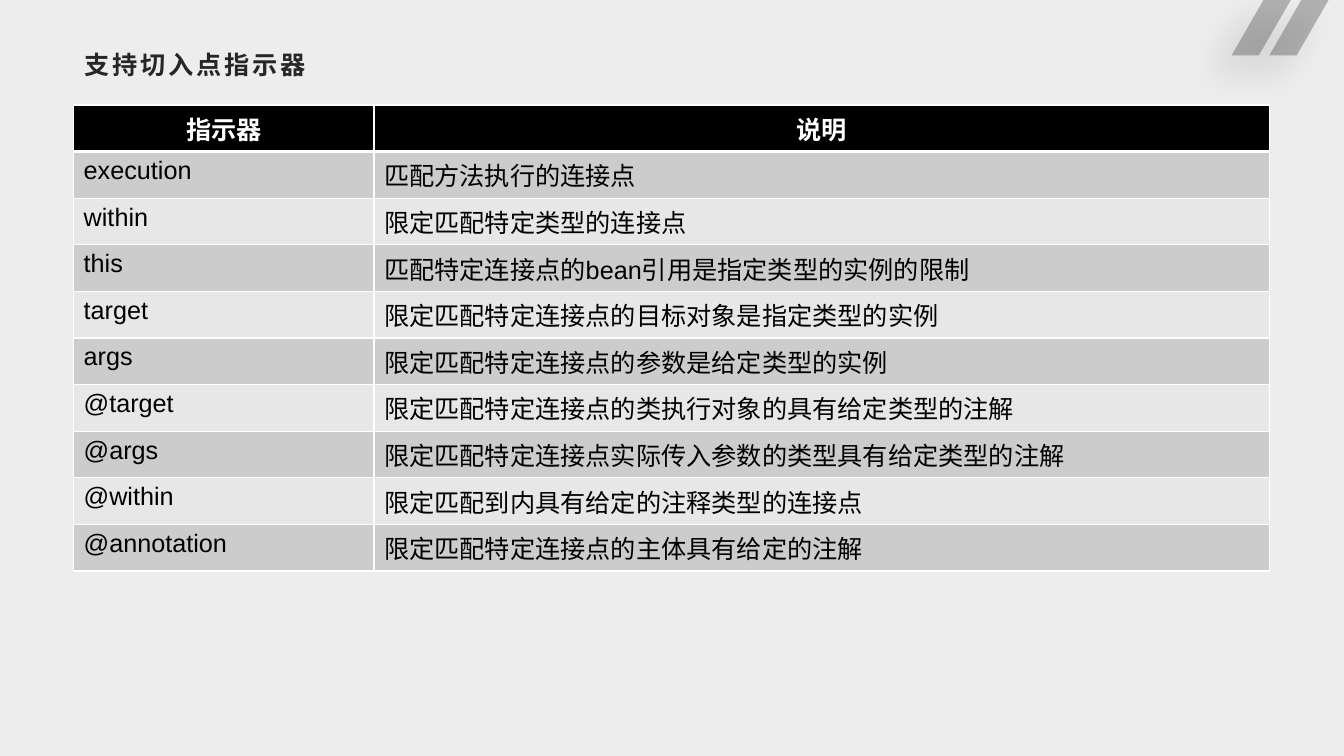
from lxml import etree
from pptx import Presentation
from pptx.dml.color import RGBColor
from pptx.enum import text
from pptx.oxml import ns
from pptx.util import Pt

COLORS = {
    "background": "EDEDED",
    "ink": "262626",
    "black": "000000",
    "white": "FFFFFF",
    "odd": "CCCCCC",
    "even": "E7E7E7",
}
CJK = "Noto Sans CJK SC"
ROWS = [
    ("指示器", "说明"),
    ("execution", "匹配方法执行的连接点"),
    ("within", "限定匹配特定类型的连接点"),
    ("this", "匹配特定连接点的bean引用是指定类型的实例的限制"),
    ("target", "限定匹配特定连接点的目标对象是指定类型的实例"),
    ("args", "限定匹配特定连接点的参数是给定类型的实例"),
    ("@target", "限定匹配特定连接点的类执行对象的具有给定类型的注解"),
    ("@args", "限定匹配特定连接点实际传入参数的类型具有给定类型的注解"),
    ("@within", "限定匹配到内具有给定的注释类型的连接点"),
    ("@annotation", "限定匹配特定连接点的主体具有给定的注解"),
]


def rgb(name):
    return RGBColor.from_string(COLORS[name])


def sub(parent, tag, **attrs):
    return etree.SubElement(parent, ns.qn(tag), {k: str(v) for k, v in attrs.items()})


def write(tf, content, font="Arial", size=18, color="black", bold=False,
          align=text.PP_ALIGN.LEFT, line_spacing=1.0, tracking=0):
    p = tf.paragraphs[0]
    p.alignment = align
    p.line_spacing = line_spacing
    r = p.add_run()
    r.text = content
    r.font.name = font
    r.font.size = Pt(size)
    r.font.bold = bold
    r.font.color.rgb = rgb(color)
    rPr = r.font._element
    sub(rPr, "a:ea", typeface=CJK)
    if tracking:
        rPr.set("spc", str(tracking * 100))


class Deck:
    def __init__(self, width, height):
        self.prs = Presentation()
        self.prs.slide_width, self.prs.slide_height = Pt(width), Pt(height)
        self.s = self.prs.slides.add_slide(self.prs.slide_layouts[5])
        fill = self.s.background.fill
        fill.solid()
        fill.fore_color.rgb = rgb("background")

    def title(self, content, left, top, width, height):
        sp = self.s.shapes.title
        sp.left, sp.top, sp.width, sp.height = map(Pt, (left, top, width, height))
        tf = sp.text_frame
        tf.auto_size = text.MSO_AUTO_SIZE.NONE
        tf.word_wrap = True
        tf.vertical_anchor = text.MSO_ANCHOR.TOP
        tf.margin_left, tf.margin_right = Pt(8), Pt(6)
        tf.margin_top = tf.margin_bottom = Pt(3)
        write(tf, content, font=CJK, color="ink", bold=True, line_spacing=0.9, tracking=2)

    def stripes(self, lefts, width, height, slant):
        builder = None
        for left in lefts:
            corners = [(left, 0), (left + width, 0),
                       (left + width - slant, height), (left - slant, height)]
            points = [(Pt(x), Pt(y)) for x, y in corners]
            if builder is None:
                builder = self.s.shapes.build_freeform(*points[0], scale=1.0)
            else:
                builder.move_to(*points[0])
            builder.add_line_segments(points[1:], close=True)
        sp = builder.convert_to_shape()
        sp.fill.solid()
        sp.fill.fore_color.rgb = rgb("ink")
        spPr = sp._element.spPr
        sub(spPr.find(".//" + ns.qn("a:srgbClr")), "a:alpha", val=30000)
        sp.line.fill.background()
        sp.shadow.inherit = False
        shadow = sub(spPr.find(ns.qn("a:effectLst")), "a:outerShdw", blurRad=Pt(26),
                     dist=Pt(19), dir=135 * 60000, algn="tr", rotWithShape=0)
        color = sub(shadow, "a:srgbClr", val=COLORS["black"])
        sub(color, "a:alpha", val=40000)

    def borders(self, cell, top, bottom):
        tcPr = cell._tc.get_or_add_tcPr()
        for side, weight in (("L", 1), ("R", 1), ("T", top), ("B", bottom)):
            ln = sub(tcPr, "a:ln" + side, w=Pt(weight))
            sub(sub(ln, "a:solidFill"), "a:srgbClr", val=COLORS["white"])

    def table(self, rows, left, top, widths, row_height):
        frame = self.s.shapes.add_table(len(rows), len(widths), Pt(left), Pt(top),
                                        Pt(sum(widths)), Pt(row_height * len(rows)))
        table = frame.table
        for column, width in zip(table.columns, widths):
            column.width = Pt(width)
        for i, row in enumerate(rows):
            header = i == 0
            fill = "black" if header else "odd" if i % 2 else "even"
            for j, content in enumerate(row):
                cell = table.cell(i, j)
                self.borders(cell, 3 if i == 1 else 1, 3 if header else 1)
                cell.fill.solid()
                cell.fill.fore_color.rgb = rgb(fill)
                write(cell.text_frame, content, bold=header,
                      color="white" if header else "black",
                      align=text.PP_ALIGN.CENTER if header else text.PP_ALIGN.LEFT)


def main():
    deck = Deck(960, 540)
    deck.stripes([929.5, 902.5], width=19.5, height=39.5, slant=22.8)
    deck.title("支持切入点指示器", 52.6, 34.6, 854.4, 34.6)
    deck.table(ROWS, 52.6, 75, [214.6, 639.8], 30)
    deck.prs.save("out.pptx")


if __name__ == "__main__":
    main()
